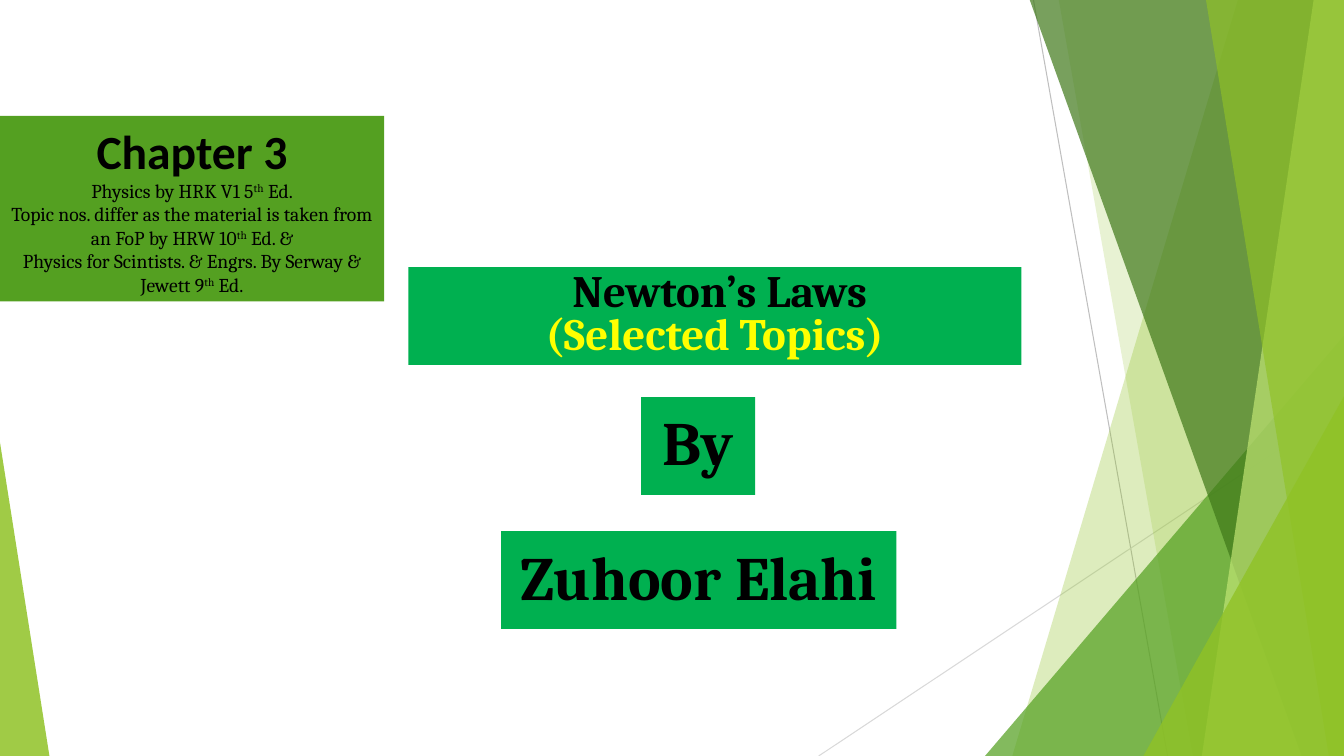
"""Build the Newton's Laws chapter title slide."""
from dataclasses import dataclass

from lxml import etree
from pptx import Presentation
from pptx.dml.color import RGBColor
from pptx.enum.shapes import MSO_CONNECTOR, MSO_SHAPE
from pptx.enum.text import MSO_ANCHOR, PP_ALIGN
from pptx.oxml.ns import qn
from pptx.util import Pt

PX = 9144
WIDTH, HEIGHT = 1333, 750
TOP = -1
STRAIGHT = MSO_CONNECTOR.STRAIGHT
RECTANGLE = MSO_SHAPE.RECTANGLE
TRIANGLE = MSO_SHAPE.ISOSCELES_TRIANGLE
MIDDLE, BOTTOM = MSO_ANCHOR.MIDDLE, MSO_ANCHOR.BOTTOM
CENTER = PP_ALIGN.CENTER


@dataclass(frozen=True)
class Theme:
    lime: str = "90C226"
    pale: str = "C0E474"
    leaf: str = "54A021"
    forest: str = "3F7819"
    emerald: str = "00B050"
    black: str = "000000"
    yellow: str = "FFFF00"
    gray: str = "BFBFBF"
    light_gray: str = "D9D9D9"
    sans: str = "Calibri"
    serif: str = "Cambria"
    name_size: int = 44
    chapter_size: int = 34
    title_size: int = 32
    note_size: int = 14
    line_width: float = 0.75


T = Theme()


@dataclass(frozen=True)
class Line:
    start: tuple[int, int]
    end: tuple[int, int]
    color: str


@dataclass(frozen=True)
class Band:
    top_left: int
    bottom_left: int
    color: str
    opacity: int


@dataclass(frozen=True)
class Triangle:
    box: tuple[int, int, int, int]
    apex: int
    color: str
    opacity: int


@dataclass(frozen=True)
class Text:
    text: str
    size: int
    font: str = T.serif
    bold: bool = True
    color: str = T.black
    spacing: float = 0.9


@dataclass(frozen=True)
class Panel:
    box: tuple[int, int, int, int]
    fill: str
    anchor: MSO_ANCHOR
    texts: tuple[Text, ...]


LINES = (
    Line((1025, 0), (1158, HEIGHT), T.gray),
    Line((WIDTH, 403), (812, HEIGHT), T.light_gray),
)
FACETS = (
    Band(1228, 1004, T.lime, 30),
    Band(1050, 1183, T.lime, 20),
    Triangle((977, 333, 356, 417), 1, T.leaf, 72),
    Band(1021, 1291, T.forest, 70),
    Band(1303, 1192, T.pale, 70),
    Band(1196, 1318, T.lime, 65),
    Triangle((1134, 393, 199, 357), 1, T.lime, 80),
    Triangle((0, 439, 49, 311), 0, T.lime, 85),
)
NOTES = (
    "Physics by HRK V1 5^th^ Ed.",
    "Topic nos. differ as the material is taken from an FoP by HRW 10^th^ Ed. &",
    "Physics for Scintists. & Engrs. By Serway & Jewett 9^th^ Ed.",
)
PANELS = (
    Panel((0, 115, 381, 184), T.leaf, BOTTOM, (
        Text("Chapter 3", T.chapter_size, T.sans, spacing=1.0),
        *(Text(note, T.note_size, bold=False, spacing=1.0) for note in NOTES),
    )),
    Panel((497, 527, 392, 97), T.emerald, MIDDLE, (Text("Zuhoor Elahi", T.name_size),)),
    Panel((636, 394, 113, 97), T.emerald, MIDDLE, (Text("By", T.name_size),)),
    Panel((405, 265, 608, 97), T.emerald, MIDDLE, (
        Text(" Newton’s Laws", T.title_size, spacing=0.8),
        Text("(Selected Topics)", T.title_size, color=T.yellow, spacing=0.8),
    )),
)


def emu(values: tuple[int, ...]) -> list[int]:
    return [v * PX for v in values]


def paint(sp, color: str, opacity: int = 100) -> None:
    sp.shadow.inherit = False
    sp.line.fill.background()
    sp.fill.solid()
    sp.fill.fore_color.rgb = RGBColor.from_string(color)
    if opacity < 100:
        clr = sp._element.spPr.find(qn("a:solidFill"))[0]
        etree.SubElement(clr, qn("a:alpha")).set("val", str(opacity * 1000))


def draw_line(s, line: Line) -> None:
    sp = s.shapes.add_connector(STRAIGHT, *emu(line.start + line.end))
    sp.line.color.rgb = RGBColor.from_string(line.color)
    sp.line.width = Pt(T.line_width)
    etree.SubElement(sp._element.spPr, qn("a:effectLst"))


def draw_facet(s, facet: Band | Triangle) -> None:
    if isinstance(facet, Band):
        fb = s.shapes.build_freeform(facet.top_left, TOP, scale=PX)
        fb.add_line_segments(
            [(WIDTH, TOP), (WIDTH, HEIGHT), (facet.bottom_left, HEIGHT)], close=True)
        sp = fb.convert_to_shape()
    else:
        sp = s.shapes.add_shape(TRIANGLE, *emu(facet.box))
        sp.adjustments[0] = facet.apex
    paint(sp, facet.color, facet.opacity)


def write(p, text: Text) -> None:
    p.alignment = CENTER
    p.line_spacing = text.spacing
    p.font.name = text.font
    p.font.size = Pt(text.size)
    p.font.bold = text.bold
    p.font.color.rgb = RGBColor.from_string(text.color)
    for i, piece in enumerate(text.text.split("^")):
        r = p.add_run()
        r.text = piece
        if i % 2:
            r._r.get_or_add_rPr().set("baseline", "30000")


def draw_panel(s, panel: Panel) -> None:
    sp = s.shapes.add_shape(RECTANGLE, *emu(panel.box))
    paint(sp, panel.fill)
    tf = sp.text_frame
    tf.word_wrap = True
    tf.vertical_anchor = panel.anchor
    for i, text in enumerate(panel.texts):
        write(tf.add_paragraph() if i else tf.paragraphs[0], text)


def main() -> None:
    prs = Presentation()
    prs.slide_width, prs.slide_height = emu((WIDTH, HEIGHT))
    s = prs.slides.add_slide(prs.slide_layouts[6])
    for line in LINES:
        draw_line(s, line)
    for facet in FACETS:
        draw_facet(s, facet)
    for panel in PANELS:
        draw_panel(s, panel)
    prs.save("out.pptx")


if __name__ == "__main__":
    main()
